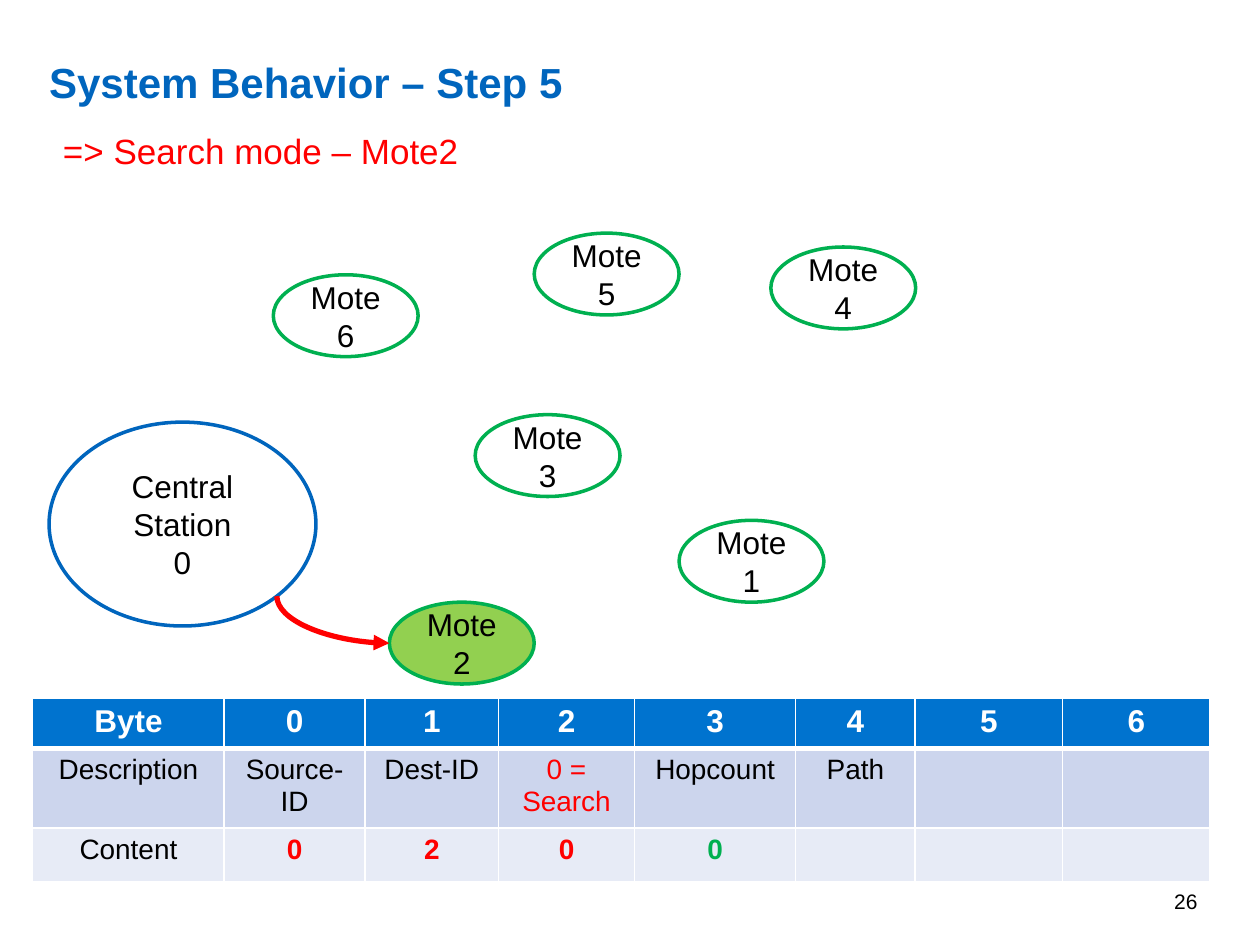
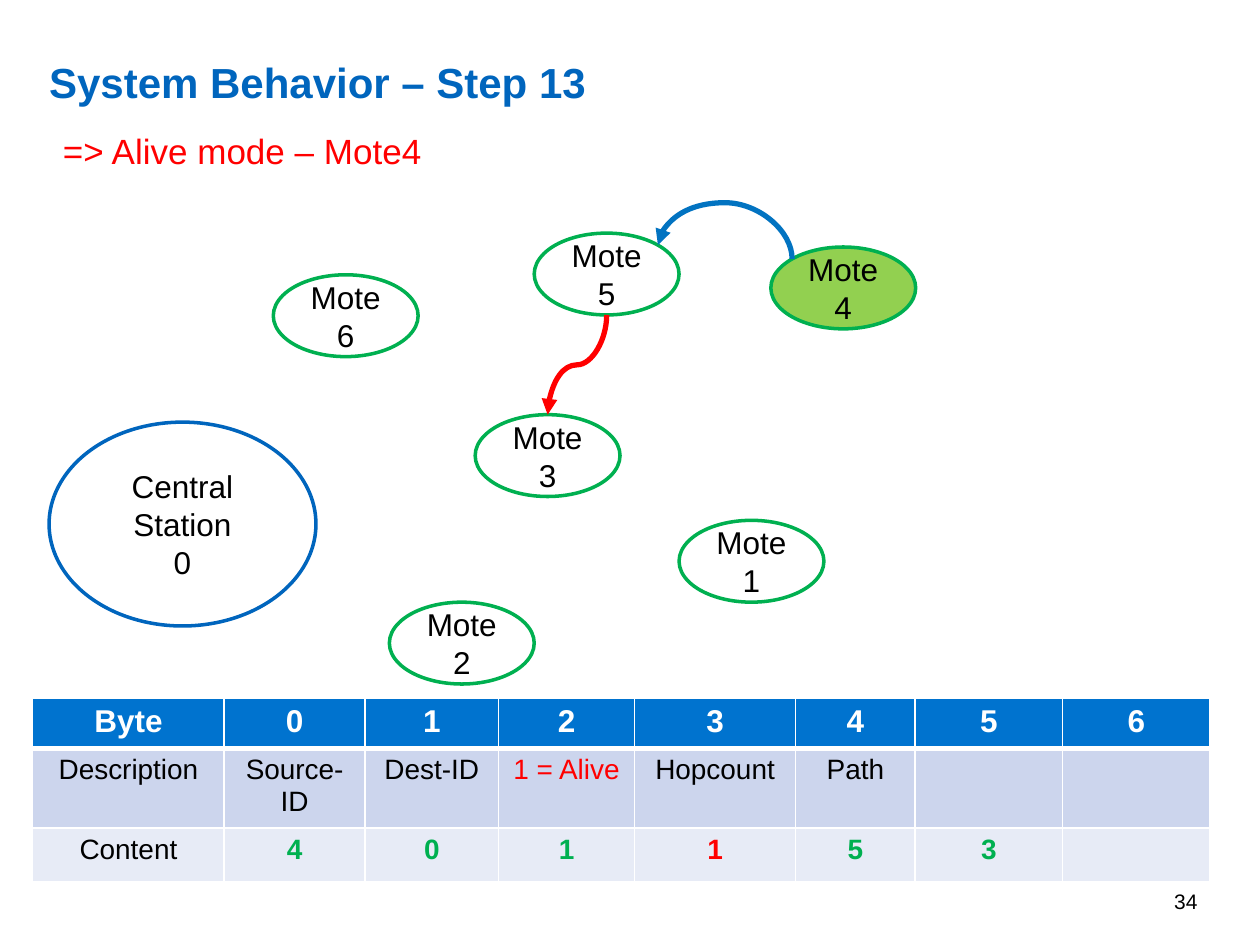
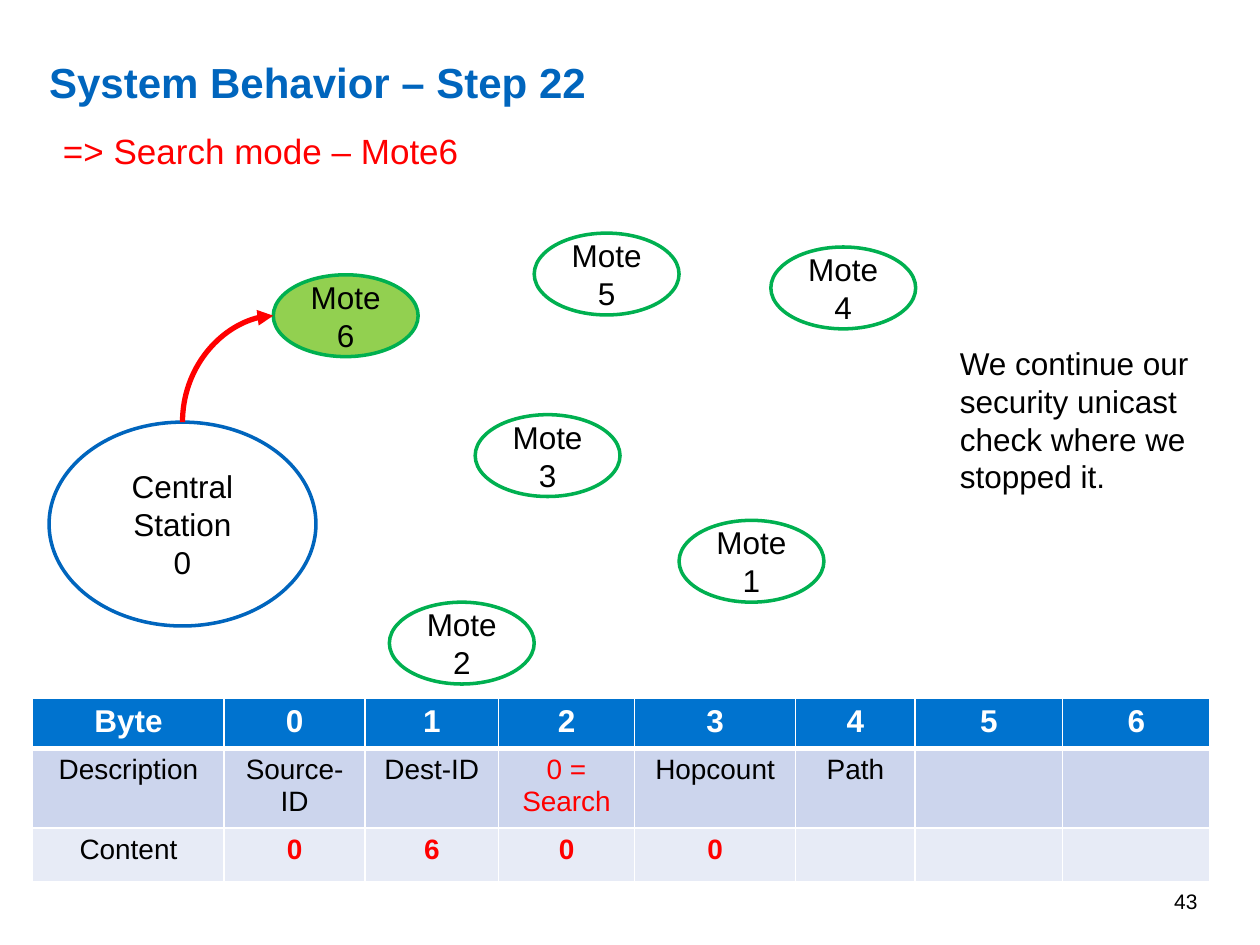
from math import cos, radians, sin

from lxml.etree import SubElement
from pptx import Presentation
from pptx.dml.color import RGBColor
from pptx.enum.shapes import MSO_CONNECTOR, MSO_SHAPE
from pptx.enum.text import MSO_ANCHOR, MSO_AUTO_SIZE, PP_ALIGN
from pptx.oxml.ns import qn
from pptx.util import Cm, Pt

BLUE = RGBColor(0x00, 0x65, 0xBD)
HEADER_BLUE = RGBColor(0x00, 0x73, 0xCF)
ARROW_BLUE = RGBColor(0x02, 0x73, 0xC1)
RED = RGBColor(0xFF, 0x00, 0x00)
GREEN = RGBColor(0x00, 0xB0, 0x50)
LIGHT_GREEN = RGBColor(0x92, 0xD0, 0x50)
ROW_DARK = RGBColor(0xCC, 0xD5, 0xED)
ROW_LIGHT = RGBColor(0xE7, 0xEB, 0xF6)
BLACK = RGBColor(0x00, 0x00, 0x00)
WHITE = RGBColor(0xFF, 0xFF, 0xFF)

FONTS = {
    "title": {"name": "Arial", "size": Pt(24), "bold": True},
    "mode": {"name": "Arial", "size": Pt(20), "bold": False},
    "body": {"name": "Arial", "size": Pt(18), "bold": False},
    "header": {"name": "Arial", "size": Pt(18), "bold": True},
    "cell": {"name": "Arial", "size": Pt(16), "bold": False},
    "content": {"name": "Arial", "size": Pt(16), "bold": True},
    "number": {"name": "Arial", "size": Pt(12), "bold": False},
}
ZERO_MARGINS = {"margin_left": 0, "margin_right": 0, "margin_top": 0, "margin_bottom": 0}
MIDDLE = {"vertical_anchor": MSO_ANCHOR.MIDDLE, "word_wrap": True}
GROW = {"auto_size": MSO_AUTO_SIZE.SHAPE_TO_FIT_TEXT}

CENTRAL = (0.99, 8.51, 5.38, 4.11)
MOTE_SIZE = (2.92, 1.65)
MOTES = {
    6: (5.51, 5.54),
    5: (10.77, 4.7),
    2: (7.85, 12.14),
    4: (15.54, 4.98),
    3: (9.58, 8.36),
    1: (13.69, 10.49),
}
COLUMN_WIDTHS = [3.86, 2.84, 2.69, 2.74, 3.25, 2.41, 2.97, 2.97]
ROW_HEIGHTS = [0.97, 1.55, 1.07]
ROW_FILLS = [HEADER_BLUE, ROW_DARK, ROW_LIGHT]
ROW_FONTS = ["header", "cell", "content"]
BORDERS = {"a:lnL": (1, 1, 1), "a:lnR": (1, 1, 1), "a:lnT": (1, 3, 1), "a:lnB": (3, 1, 1)}

TOP, TOP_LEFT, LEFT, BOTTOM, BOTTOM_RIGHT, TOP_RIGHT = 0, 1, 2, 4, 5, 7

STEPS = [
    {
        "step": 5, "number": 26, "mode": "Search", "mote": 2, "mode_width": 8.53,
        "code": "0 = Search",
        "content": [("0", RED), ("2", RED), ("0", RED), ("0", GREEN)],
        "arrows": [(0, BOTTOM_RIGHT, 2, LEFT, RED, "curvedConnector2", 270, ["flipH"], None)],
    },
    {
        "step": 13, "number": 34, "mode": "Alive", "mote": 4, "mode_width": 7.8,
        "code": "1 = Alive",
        "content": [("4", GREEN), ("0", GREEN), ("1", GREEN), ("1", RED), ("5", GREEN), ("3", GREEN)],
        "arrows": [
            (4, TOP_LEFT, 5, TOP_RIGHT, ARROW_BLUE, "curvedConnector3", 270, ["flipV"], 405000),
            (5, BOTTOM, 3, TOP, RED, "curvedConnector3", 90, [], None),
        ],
    },
    {
        "step": 22, "number": 43, "mode": "Search", "mote": 6, "mode_width": 8.53,
        "code": "0 = Search",
        "content": [("0", RED), ("6", RED), ("0", RED), ("0", RED)],
        "note": "We continue our security unicast check where we stopped it.",
        "arrows": [(0, TOP, 6, LEFT, RED, "curvedConnector2", 90, ["flipH", "flipV"], None)],
    },
]


def write(text_frame, text, font_name, color, alignment=PP_ALIGN.LEFT, frame_format=None):
    for attribute, value in (frame_format or {}).items():
        setattr(text_frame, attribute, value)
    text_frame.text = text
    for paragraph in text_frame.paragraphs:
        paragraph.alignment = alignment
        for run in paragraph.runs:
            for attribute, value in FONTS[font_name].items():
                setattr(run.font, attribute, value)
            run.font.color.rgb = color


def site_point(shape, site):
    angle = radians(90 + 45 * site)
    x = shape.left + shape.width / 2 * (1 + cos(angle))
    y = shape.top + shape.height / 2 * (1 - sin(angle))
    return x, y


presentation = Presentation()
presentation.slide_width = Cm(25.4)
presentation.slide_height = Cm(19.05)

for step in STEPS:
    slide = presentation.slides.add_slide(presentation.slide_layouts[6])

    number = slide.shapes.add_textbox(Cm(18.47), Cm(17.65), Cm(5.92), Cm(1.02))
    write(number.text_frame, str(step["number"]), "number", BLACK, PP_ALIGN.RIGHT, MIDDLE)

    title = slide.shapes.add_textbox(Cm(0.99), Cm(1.02), Cm(19.91), Cm(0.99))
    write(title.text_frame, f"System Behavior – Step {step['step']}", "title", BLUE,
          frame_format=MIDDLE | ZERO_MARGINS)
    title.text_frame.paragraphs[0].line_spacing = 1.25

    ellipses = [(0, "Central Station\n0", CENTRAL, BLUE)]
    ellipses += [(mote, f"Mote {mote}", place + MOTE_SIZE, GREEN) for mote, place in MOTES.items()]
    stations = {}
    for station, label, box, outline in ellipses:
        shape = slide.shapes.add_shape(MSO_SHAPE.OVAL, *[Cm(length) for length in box])
        shape.shadow.inherit = False
        shape.fill.solid()
        shape.fill.fore_color.rgb = LIGHT_GREEN if station == step["mote"] else WHITE
        shape.line.color.rgb = outline
        shape.line.width = Pt(2)
        write(shape.text_frame, label, "body", BLACK, PP_ALIGN.CENTER, MIDDLE)
        stations[station] = shape

    mode = slide.shapes.add_textbox(Cm(1.02), Cm(2.49), Cm(step["mode_width"]), Cm(1.12))
    write(mode.text_frame, f"=> {step['mode']} mode – Mote{step['mote']}", "mode", RED,
          frame_format=GROW | {"word_wrap": False})

    rows = [
        [(text, WHITE) for text in ["Byte", *"0123456"]],
        [(text, BLACK) for text in ["Description", "Source-ID", "Dest-ID"]]
        + [(step["code"], RED), ("Hopcount", BLACK), ("Path", BLACK)],
        [("Content", BLACK)] + step["content"],
    ]
    table = slide.shapes.add_table(len(rows), len(COLUMN_WIDTHS), Cm(0.66), Cm(14.07),
                                   Cm(sum(COLUMN_WIDTHS)), Cm(sum(ROW_HEIGHTS))).table
    for column, width in zip(table.columns, COLUMN_WIDTHS):
        column.width = Cm(width)
    for row_index, row in enumerate(rows):
        table.rows[row_index].height = Cm(ROW_HEIGHTS[row_index])
        for column_index, cell in enumerate(table.rows[row_index].cells):
            properties = cell._tc.get_or_add_tcPr()
            for tag, widths in BORDERS.items():
                border = SubElement(properties, qn(tag), w=str(Pt(widths[row_index])))
                border_fill = SubElement(border, qn("a:solidFill"))
                SubElement(border_fill, qn("a:srgbClr"), val=str(WHITE))
            cell.fill.solid()
            cell.fill.fore_color.rgb = ROW_FILLS[row_index]
            if column_index < len(row):
                text, color = row[column_index]
                font_name = "cell" if text == "Content" else ROW_FONTS[row_index]
                write(cell.text_frame, text, font_name, color, PP_ALIGN.CENTER)

    if "note" in step:
        note = slide.shapes.add_textbox(Cm(19.1), Cm(6.81), Cm(6.3), Cm(3.33))
        write(note.text_frame, step["note"], "body", BLACK, frame_format=GROW | {"word_wrap": True})

    for start, start_site, end, end_site, color, preset, rotation, flips, bend in step["arrows"]:
        start_x, start_y = site_point(stations[start], start_site)
        end_x, end_y = site_point(stations[end], end_site)
        width, height = abs(end_y - start_y), abs(end_x - start_x)
        left, top = (start_x + end_x - width) / 2, (start_y + end_y - height) / 2
        corners = [round(length) for length in (left, top, left + width, top + height)]
        connector = slide.shapes.add_connector(MSO_CONNECTOR.CURVE, *corners)
        connector.line.color.rgb = color
        connector.line.width = Pt(3)
        shape_properties = connector.element.spPr
        transform = shape_properties.find(qn("a:xfrm"))
        transform.set("rot", str(rotation * 60000))
        for flip in flips:
            transform.set(flip, "1")
        geometry = shape_properties.find(qn("a:prstGeom"))
        geometry.set("prst", preset)
        if bend:
            SubElement(geometry.find(qn("a:avLst")), qn("a:gd"), name="adj1", fmla=f"val {bend}")
        SubElement(shape_properties.find(qn("a:ln")), qn("a:tailEnd"), type="triangle")
        SubElement(shape_properties, qn("a:effectLst"))
        links = connector.element.find(".//" + qn("p:cNvCxnSpPr"))
        for tag, station, site in [("a:stCxn", start, start_site), ("a:endCxn", end, end_site)]:
            SubElement(links, qn(tag), id=str(stations[station].shape_id), idx=str(site))

presentation.save("out.pptx")
